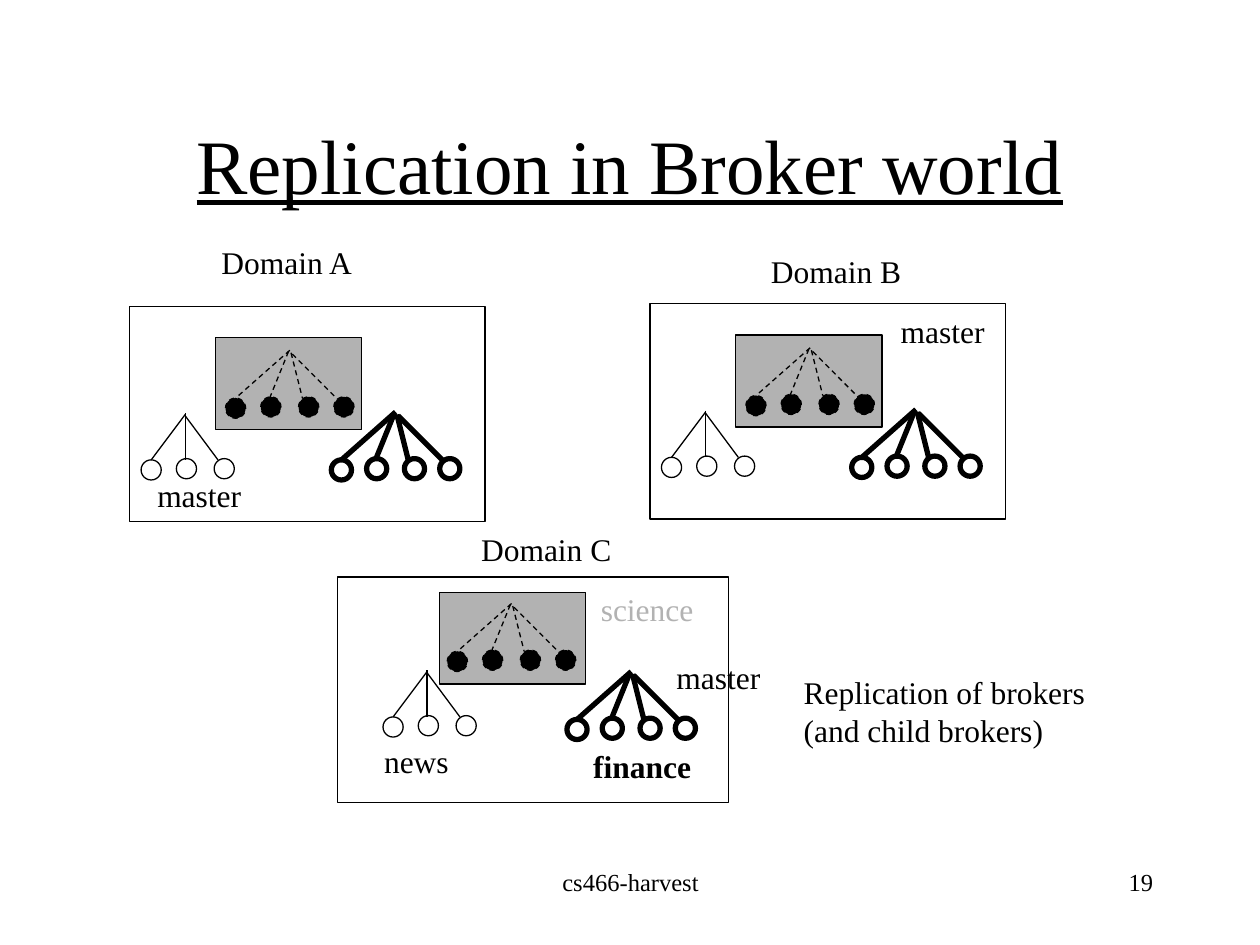
import pptx
import pptx.dml.color
import pptx.enum.dml
import pptx.enum.shapes
import pptx.enum.text
import pptx.oxml
import pptx.util

Inches = pptx.util.Inches
Pt = pptx.util.Pt
PP_ALIGN = pptx.enum.text.PP_ALIGN
MSO_ANCHOR = pptx.enum.text.MSO_ANCHOR
MSO_SHAPE = pptx.enum.shapes.MSO_SHAPE
DASH = pptx.enum.dml.MSO_LINE.DASH

BLACK = pptx.dml.color.RGBColor(0x00, 0x00, 0x00)
GREY = pptx.dml.color.RGBColor(0xB2, 0xB2, 0xB2)
FONT = "Times New Roman"
NODE = 0.16

THREE_NODES = [(0, 0.37), (0.28, 0.36), (0.58, 0.36)]
THREE_LINES = [
    (0.35, 0, 0.35, 0.37),
    (0.35, 0.01, 0.08, 0.37),
    (0.35, 0.02, 0.61, 0.37),
]
FOUR_NODES = [(0, 0.38), (0.28, 0.37), (0.58, 0.37), (0.86, 0.37)]
FOUR_LINES = [
    (0.5, 0.01, 0.35, 0.38),
    (0.51, 0, 0.08, 0.38),
    (0.52, 0.02, 0.61, 0.38),
    (0.53, 0.03, 0.89, 0.39),
]


def add_text(s, box, text, size=18, color=BLACK, align=PP_ALIGN.LEFT, wrap=False,
             anchor=MSO_ANCHOR.TOP, bold=None, underline=None):
    tb = s.shapes.add_textbox(*map(Inches, box))
    tf = tb.text_frame
    tf.text = text
    tf.word_wrap = wrap
    tf.vertical_anchor = anchor
    if not wrap:
        tf.auto_size = pptx.enum.text.MSO_AUTO_SIZE.SHAPE_TO_FIT_TEXT
    for p in tf.paragraphs:
        p.alignment = align
        for r in p.runs:
            r.font.name = FONT
            r.font.size = Pt(size)
            r.font.color.rgb = color
            r.font.bold = bold
            r.font.underline = underline


def style_line(line, width, dash):
    line.color.rgb = BLACK
    line.width = Pt(width)
    if dash:
        line.dash_style = dash


def add_shape(shapes, kind, box, fill=None, width=0.75, dash=None):
    sp = shapes.add_shape(kind, *map(Inches, box))
    sp.shadow.inherit = False
    if fill is None:
        sp.fill.background()
    else:
        sp.fill.solid()
        sp.fill.fore_color.rgb = fill
    style_line(sp.line, width, dash)


def add_tree(s, x, y, nodes, lines, fill=None, width=0.75, dash=None):
    shapes = s.shapes.add_group_shape().shapes
    for dx, dy in nodes:
        add_shape(shapes, MSO_SHAPE.OVAL, (x + dx, y + dy, NODE, NODE), fill, width, dash)
    for x1, y1, x2, y2 in lines:
        ends = (x + x1, y + y1, x + x2, y + y2)
        cxn = shapes.add_connector(pptx.enum.shapes.MSO_CONNECTOR.STRAIGHT, *map(Inches, ends))
        style_line(cxn.line, width, dash)
        cxn._element.spPr.append(pptx.oxml.parse_xml(
            '<a:effectLst xmlns:a="http://schemas.openxmlformats.org/drawingml/2006/main"/>'))


def add_domain(s, box, name, label, panel, science, news, finance, master):
    x, y = box[:2]

    def within(offset, *size):
        return x + offset[0], y + offset[1], *size

    add_shape(s.shapes, MSO_SHAPE.RECTANGLE, within(panel, 1.16, 0.73), GREY)
    add_tree(s, *within(science), FOUR_NODES, FOUR_LINES, BLACK, dash=DASH)
    add_tree(s, *within(news), THREE_NODES, THREE_LINES)
    add_tree(s, *within(finance), FOUR_NODES, FOUR_LINES, width=3)
    add_shape(s.shapes, MSO_SHAPE.RECTANGLE, box)
    add_text(s, within(label, 1.27, 0.4), name)
    add_text(s, within(master, 0.89, 0.4), "master")


def add_domain_c_legend(s, x, y):
    add_text(s, (x + 0.27, y + 1.26, 0.74, 0.4), "news")
    add_text(s, (x + 1.93, y + 1.3, 1, 0.4), "finance", bold=True)
    add_text(s, (x + 1.99, y + 0.05, 0.96, 0.4), "science", color=GREY)


def add_footer(s, y):
    add_text(s, (3.42, y, 3.17, 0.5), "cs466-harvest", 14, align=PP_ALIGN.CENTER, wrap=True)
    add_text(s, (7.17, y, 2.08, 0.5), "19", 14, align=PP_ALIGN.RIGHT, wrap=True)


def main():
    prs = pptx.Presentation()
    prs.slide_width, prs.slide_height = Inches(10), Inches(7.5)
    s = prs.slides.add_slide(prs.slide_layouts[6])

    add_text(s, (0.75, 0.67, 8.5, 1.25), "Replication in Broker world", 44,
             align=PP_ALIGN.CENTER, wrap=True, anchor=MSO_ANCHOR.MIDDLE, underline=True)
    upper = {"panel": (0.68, 0.25), "science": (0.76, 0.35), "news": (0.09, 0.85),
             "finance": (1.6, 0.84)}
    add_domain(s, (1.03, 2.43, 2.82, 1.71), "Domain A", label=(0.63, -0.55),
               master=(0.12, 1.3), **upper)
    add_domain(s, (5.16, 2.41, 2.82, 1.71), "Domain B", label=(0.86, -0.46),
               master=(1.89, 0.02), **upper)
    add_domain(s, (2.68, 4.58, 3.1, 1.79), "Domain C", label=(1.04, -0.42),
               master=(2.59, 0.59), panel=(0.81, 0.12), science=(0.87, 0.21),
               news=(0.36, 0.74), finance=(1.82, 0.75))
    add_domain_c_legend(s, 2.68, 4.58)
    add_text(s, (6.28, 5.29, 2.46, 0.7), "Replication of brokers\n(and child brokers)")
    add_footer(s, 6.83)
    prs.save("out.pptx")


if __name__ == "__main__":
    main()
